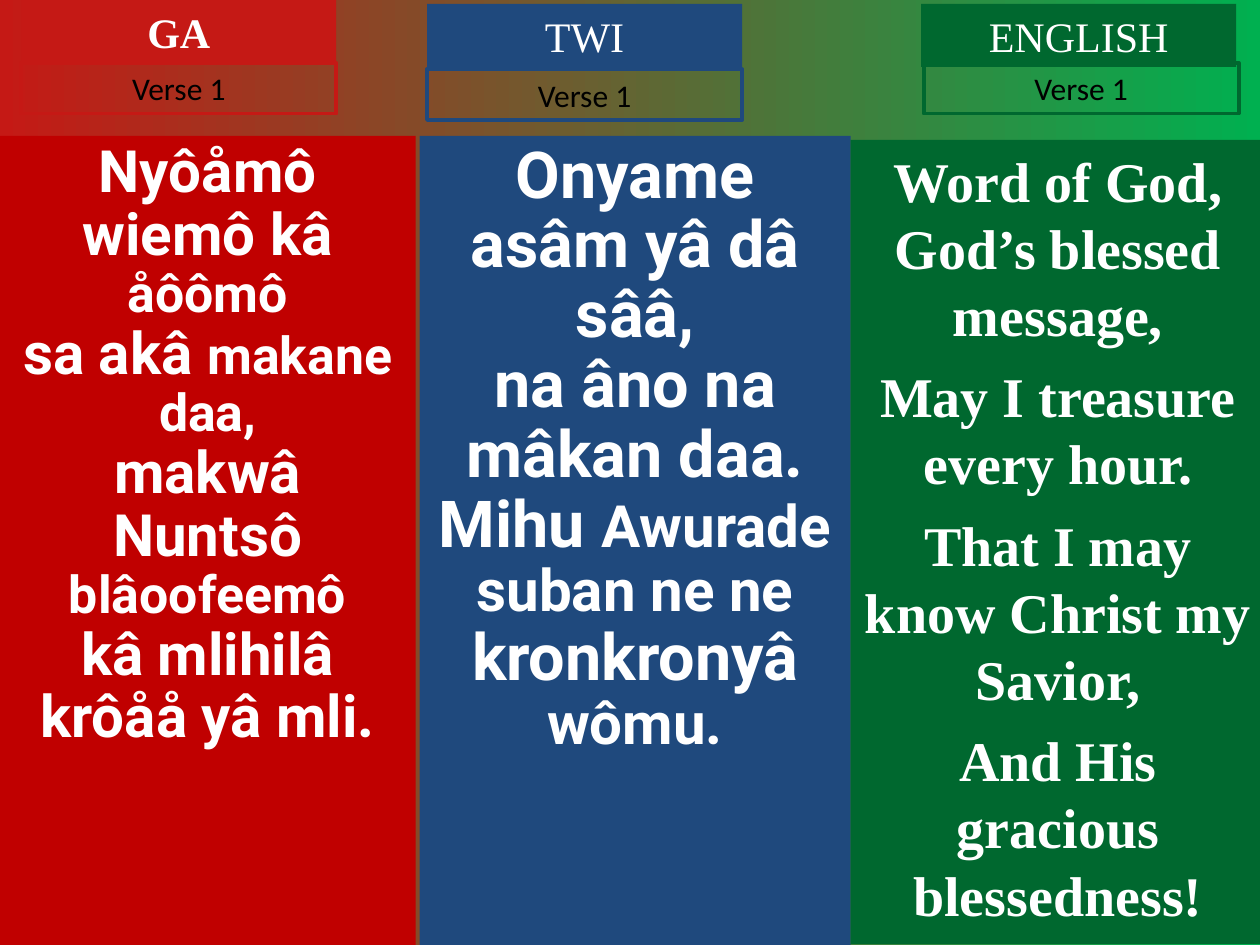
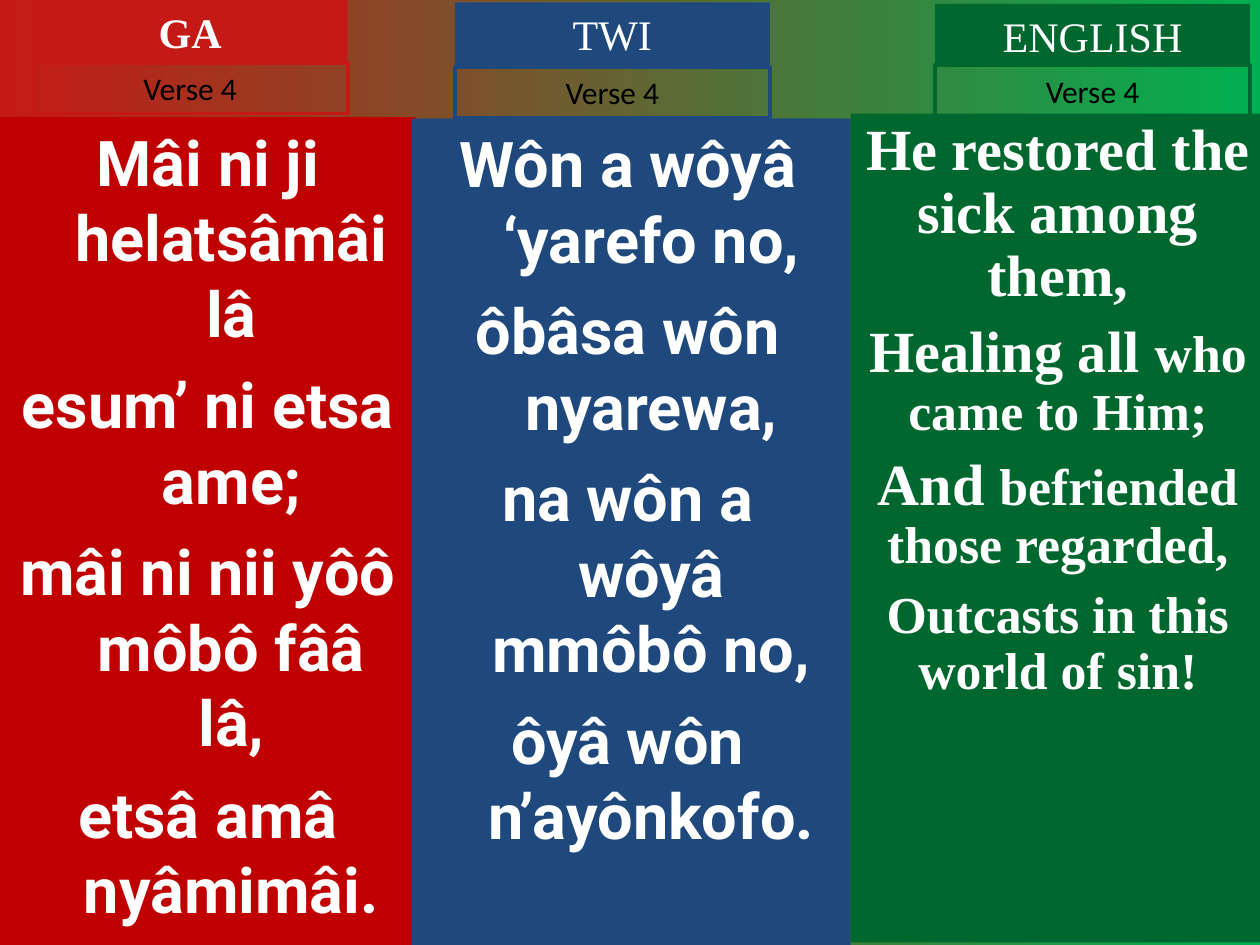
from pptx import Presentation
from pptx.util import Cm, Pt
from pptx.dml.color import RGBColor as Rgb
from pptx.enum.shapes import MSO_SHAPE as Kind
from pptx.enum.text import PP_ALIGN as Align, MSO_ANCHOR as Anchor

RED, DEEP, BLUE, GREEN = "C51915", "C00000", "1F497D", "00682F"
WHITE, BLACK = "FFFFFF", "000000"
SERIF, SANS, PLAIN = "Times New Roman", "Roboto", "Calibri"


def box(slide, area, fill=None, line=None):
    shape = slide.shapes.add_shape(Kind.RECTANGLE, *[Cm(n) for n in area])
    shape.shadow.inherit = False
    if fill:
        shape.fill.solid()
        shape.fill.fore_color.rgb = Rgb.from_string(fill)
    else:
        shape.fill.background()
    if line:
        shape.line.color.rgb = Rgb.from_string(line)
        shape.line.width = Pt(2.25)
    else:
        shape.line.fill.background()
    return shape


def write(shape, lines, font=SERIF, size=24, color=WHITE, bold=False, space=None, gap=0, hang=0):
    frame = shape.text_frame
    frame.word_wrap = True
    frame.vertical_anchor = Anchor.TOP
    for i, line in enumerate(lines):
        para = frame.paragraphs[0] if i == 0 else frame.add_paragraph()
        para.alignment = Align.CENTER
        if space:
            para.line_spacing = space
        if i and gap:
            para.space_before = Pt(gap)
        if hang:
            props = para._p.get_or_add_pPr()
            props.set("marL", str(Cm(hang)))
            props.set("indent", str(-Cm(hang)))
        parts = [(line, size)] if isinstance(line, str) else line
        for text, points in parts:
            run = para.add_run()
            run.text = text
            run.font.name = font
            run.font.size = Pt(points)
            run.font.bold = bold
            run.font.color.rgb = Rgb.from_string(color)


tongues = [("GA", RED, DEEP, SANS), ("TWI", BLUE, BLUE, SANS), ("ENGLISH", GREEN, GREEN, SERIF)]

songs = [
    {
        "verse": "Verse 1",
        "heads": [(0.43, 0), (8.61, 0.08), (18.57, 0.08)],
        "tags": [(0.43, 1.27), (8.61, 1.4), (18.62, 1.27)],
        "under": [],
        "bodies": [
            ((0, 2.74, 8.38, 16.31), {"size": 33.3, "space": 0.9}, [
                [("Nyôåmô wiemô kâ ", 33.3), ("åôômô", 29.6)],
                [("sa akâ ", 33.3), ("makane daa,", 29.6)],
                [("makwâ Nuntsô ", 33.3), ("blâoofeemô", 29.6)],
                "kâ mlihilâ krôåå yâ mli.",
            ]),
            ((8.46, 2.74, 8.69, 16.31), {"size": 37, "space": 0.9}, [
                "Onyame asâm yâ dâ sââ,",
                "na âno na mâkan daa.",
                [("Mihu ", 37), ("Awurade suban ne ne ", 33.3), ("kronkronyâ ", 37), ("wômu.", 33.3)],
            ]),
            ((17.15, 2.82, 8.36, 16.21), {"size": 32, "gap": 8}, [
                "Word of God, God’s blessed message,",
                "May I treasure every hour.",
                "That I may know Christ my Savior,",
                "And His gracious blessedness!",
            ]),
        ],
    },
    {
        "verse": "Verse 4",
        "heads": [(0.66, 0), (9.17, 0.05), (18.85, 0.08)],
        "tags": [(0.66, 1.27), (9.17, 1.35), (18.85, 1.32)],
        "under": [(8.46, 2.39, 8.69, 16.66)],
        "bodies": [
            ((0, 2.36, 8.38, 16.69), {"size": 36, "gap": 9, "hang": 0.95}, [
                "Mâi ni ji helatsâmâi lâ",
                "esum’ ni etsa ame;",
                "mâi ni nii yôô môbô fââ lâ,",
                "etsâ amâ nyâmimâi.",
            ]),
            ((8.31, 2.39, 8.69, 16.66), {"size": 36, "gap": 9, "hang": 0.95}, [
                "Wôn a wôyâ ‘yarefo no,",
                "ôbâsa wôn nyarewa,",
                "na wôn a wôyâ mmôbô no,",
                "ôyâ wôn n’ayônkofo.",
            ]),
            ((17.15, 2.29, 8.36, 16.71), {"size": 29.6, "space": 0.9, "gap": 8}, [
                [("He restored the sick among them,", 33.3)],
                [("Healing all ", 33.3), ("who came to Him;", 29.6)],
                [("And ", 33.3), ("befriended those regarded,", 29.6)],
                "Outcasts in this world of sin!",
            ]),
        ],
    },
]

deck = Presentation()
deck.slide_width, deck.slide_height = Cm(25.4), Cm(19.05)

for song in songs:
    slide = deck.slides.add_slide(deck.slide_layouts[6])
    back = slide.background.fill
    back.gradient()
    back.gradient_angle = 0
    for stop, tint in zip(back.gradient_stops, (RED, "00B050")):
        stop.color.rgb = Rgb.from_string(tint)
    for area in song["under"]:
        box(slide, area, fill=BLUE)
    for tongue, head, tag, body in zip(tongues, song["heads"], song["tags"], song["bodies"]):
        name, tint, fill, font = tongue
        area, style, lines = body
        write(box(slide, area, fill=fill), lines, font=font, bold=True, **style)
        write(box(slide, (*head, 6.35, 1.27), fill=tint), [name], bold=name == "GA")
        write(box(slide, (*tag, 6.35, 1.02), line=tint), [song["verse"]], font=PLAIN, size=18, color=BLACK)

deck.save("out.pptx")
